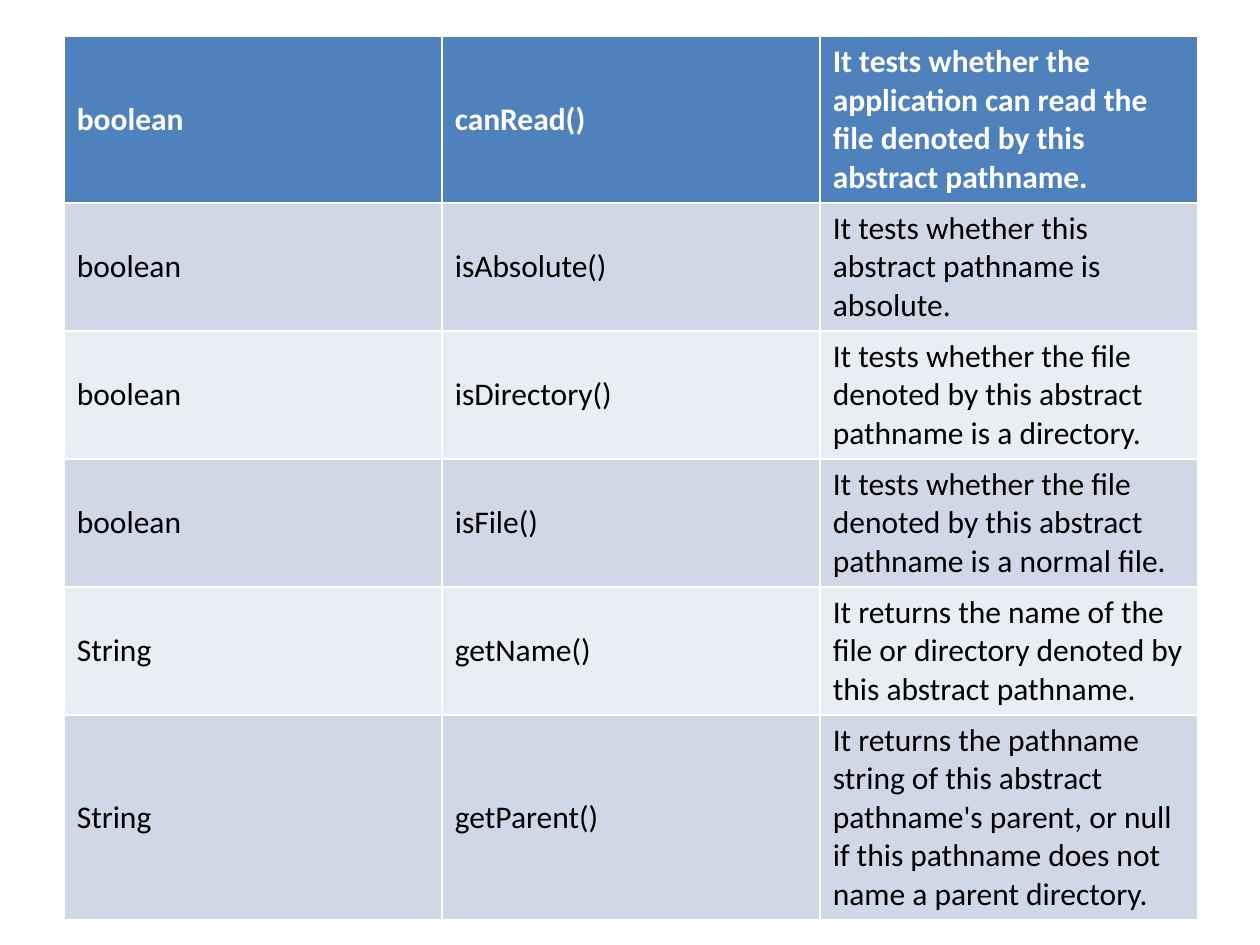
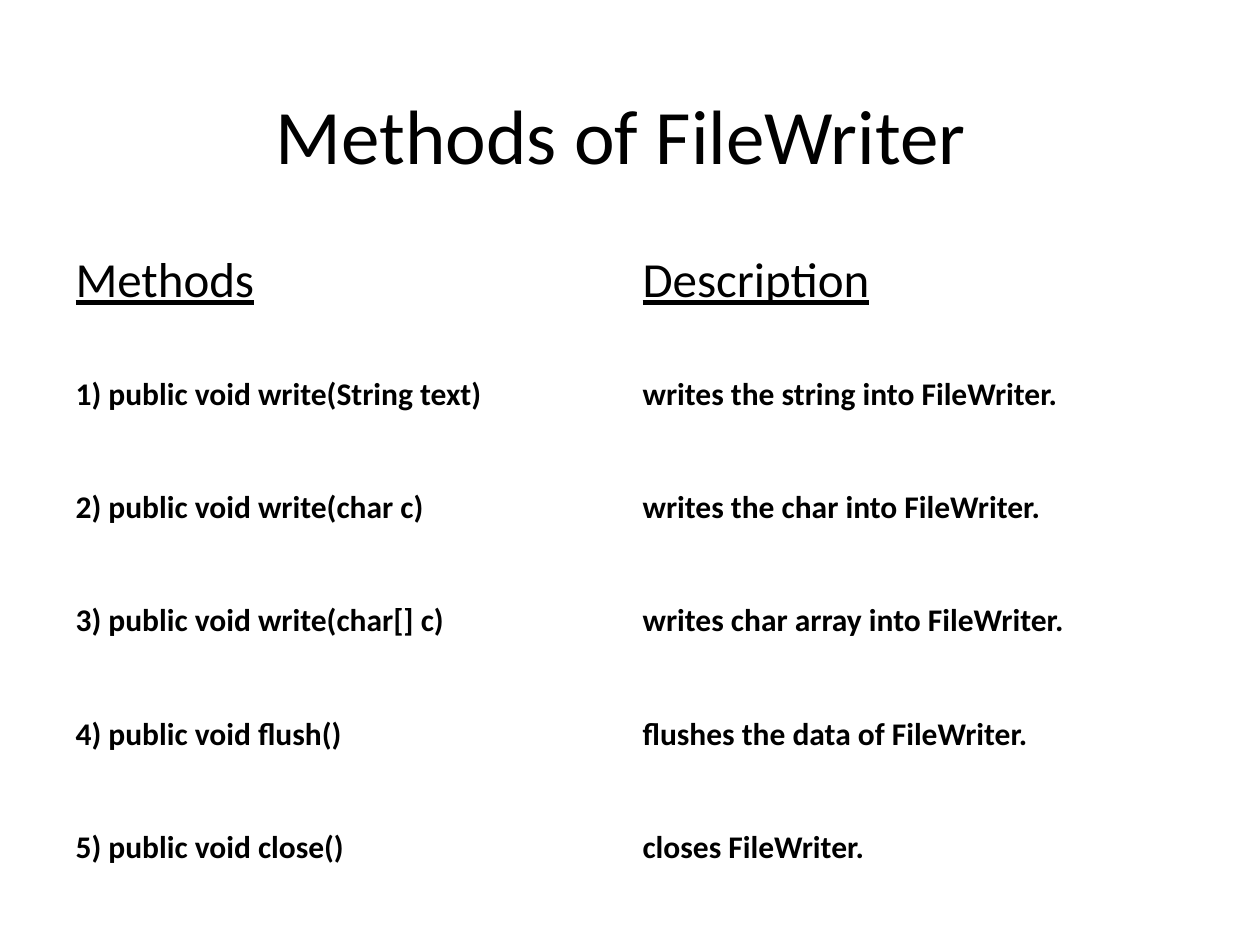
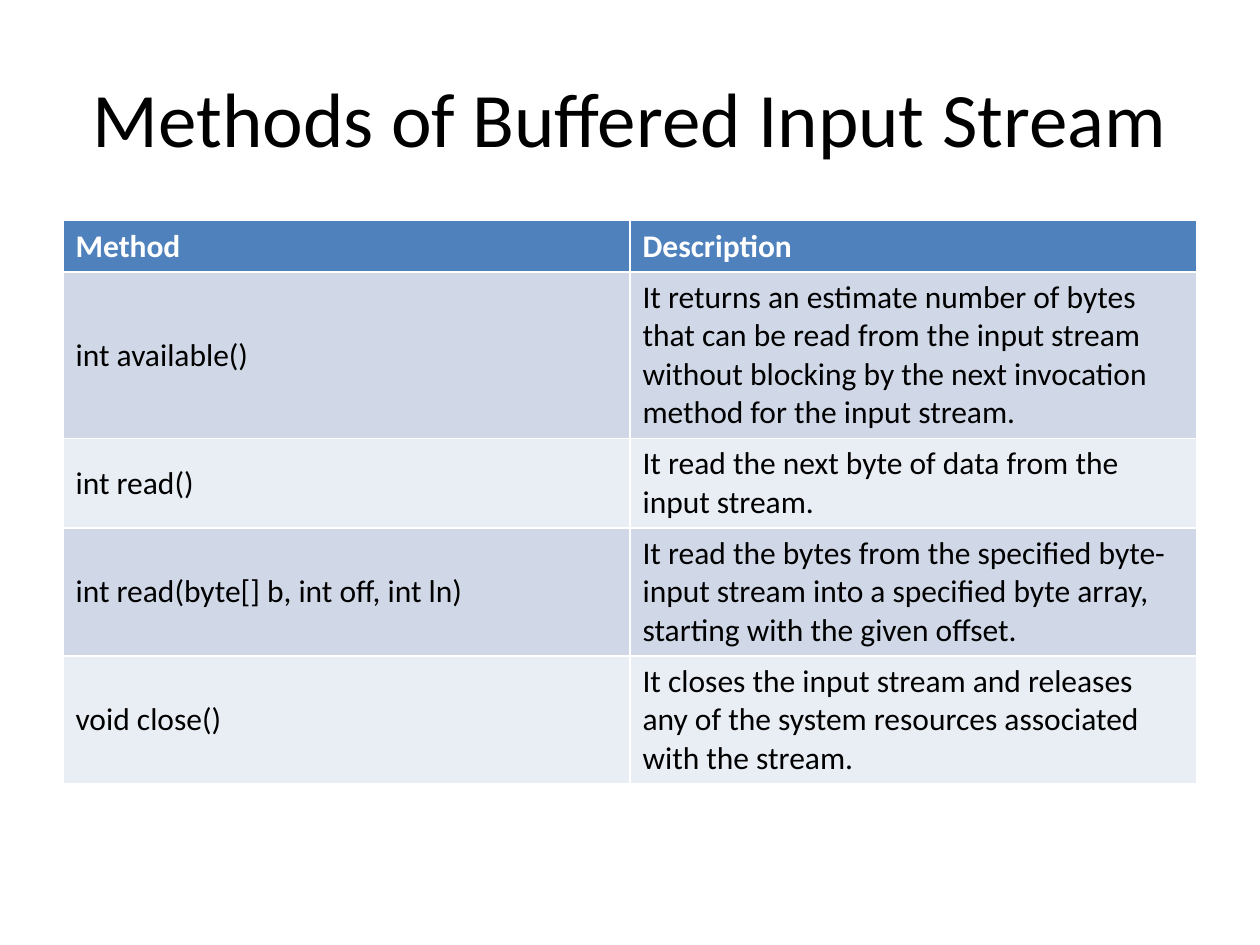
from pptx import Presentation
from pptx.dml.color import RGBColor
from pptx.enum.text import MSO_ANCHOR, PP_ALIGN
from pptx.util import Inches, Pt

MIDDLE = MSO_ANCHOR.MIDDLE
CENTER = PP_ALIGN.CENTER
TITLE_ONLY, BLANK = 5, 6

FONT = "Calibri"
COLORS = {
    "text": "000000",
    "header_text": "FFFFFF",
    "header": "4F81BD",
    "dark_band": "D0D8E8",
    "light_band": "E9EDF4",
}
CONTENT_WIDTH = 9
ROW_HEIGHT = 0.41


def add_title(slide, text, left, top):
    title = slide.shapes.title
    title.left, title.top = Inches(left), Inches(top)
    title.width, title.height = Inches(CONTENT_WIDTH), Inches(1.25)
    title.text_frame.text = text
    title.text_frame.vertical_anchor = MIDDLE
    paragraph = title.text_frame.paragraphs[0]
    paragraph.alignment = CENTER
    paragraph.font.name = FONT
    paragraph.font.size = Pt(44)
    paragraph.font.color.rgb = RGBColor.from_string(COLORS["text"])


def add_method_table(slide, rows, left, top, row_height, banded=True):
    frame = slide.shapes.add_table(
        len(rows), len(rows[0]), Inches(left), Inches(top),
        Inches(CONTENT_WIDTH), Inches(row_height * len(rows)))
    table = frame.table
    table.first_row = table.horz_banding = banded
    for row_index, row in enumerate(rows):
        is_header = row_index == 0
        for column_index, text in enumerate(row):
            cell = table.cell(row_index, column_index)
            cell.text = text
            cell.vertical_anchor = MIDDLE
            font = cell.text_frame.paragraphs[0].font
            font.name = FONT
            font.size = Pt(18)
            font.bold = is_header == banded
            text_color = "header_text" if is_header and banded else "text"
            font.color.rgb = RGBColor.from_string(COLORS[text_color])
            if banded:
                band = "dark_band" if row_index % 2 else "light_band"
                fill_color = COLORS["header" if is_header else band]
                cell.fill.solid()
                cell.fill.fore_color.rgb = RGBColor.from_string(fill_color)
            else:
                cell.fill.background()
                if is_header:
                    font.size = Pt(28)
                    font.underline = True


presentation = Presentation()
presentation.slide_width = Inches(10)
presentation.slide_height = Inches(7.5)
layouts = presentation.slide_layouts

# Slide 1: methods of File
file_methods = [
    ("boolean", "canRead()",
     "It tests whether the application can read the file denoted by this abstract pathname."),
    ("boolean", "isAbsolute()",
     "It tests whether this abstract pathname is absolute."),
    ("boolean", "isDirectory()",
     "It tests whether the file denoted by this abstract pathname is a directory."),
    ("boolean", "isFile()",
     "It tests whether the file denoted by this abstract pathname is a normal file."),
    ("String", "getName()",
     "It returns the name of the file or directory denoted by this abstract pathname."),
    ("String", "getParent()",
     "It returns the pathname string of this abstract pathname's parent, "
     "or null if this pathname does not name a parent directory."),
]
slide = presentation.slides.add_slide(layouts[BLANK])
add_method_table(slide, file_methods, 0.51, 0.29, ROW_HEIGHT)

# Slide 2: methods of FileWriter, in a plain table
writer_methods = [
    ("Methods", "Description"),
    ("1) public void write(String text)", "writes the string into FileWriter."),
    ("2) public void write(char c)", "writes the char into FileWriter."),
    ("3) public void write(char[] c)", "writes char array into FileWriter."),
    ("4) public void flush()", "flushes the data of FileWriter."),
    ("5) public void close()", "closes FileWriter."),
]
slide = presentation.slides.add_slide(layouts[TITLE_ONLY])
add_title(slide, "Methods of FileWriter", 0.43, 0.44)
add_method_table(slide, writer_methods, 0.5, 1.78, 0.9, banded=False)

# Slide 3: methods of the buffered input stream
stream_methods = [
    ("Method", "Description"),
    ("int available()",
     "It returns an estimate number of bytes that can be read from the input stream "
     "without blocking by the next invocation method for the input stream."),
    ("int read()",
     "It read the next byte of data from the input stream."),
    ("int read(byte[] b, int off, int ln)",
     "It read the bytes from the specified byte-input stream into a specified byte array, "
     "starting with the given offset."),
    ("void close()",
     "It closes the input stream and releases any of the system resources "
     "associated with the stream."),
]
slide = presentation.slides.add_slide(layouts[TITLE_ONLY])
add_title(slide, "Methods of Buffered Input Stream", 0.5, 0.3)
add_method_table(slide, stream_methods, 0.5, 1.75, ROW_HEIGHT)

presentation.save("out.pptx")
